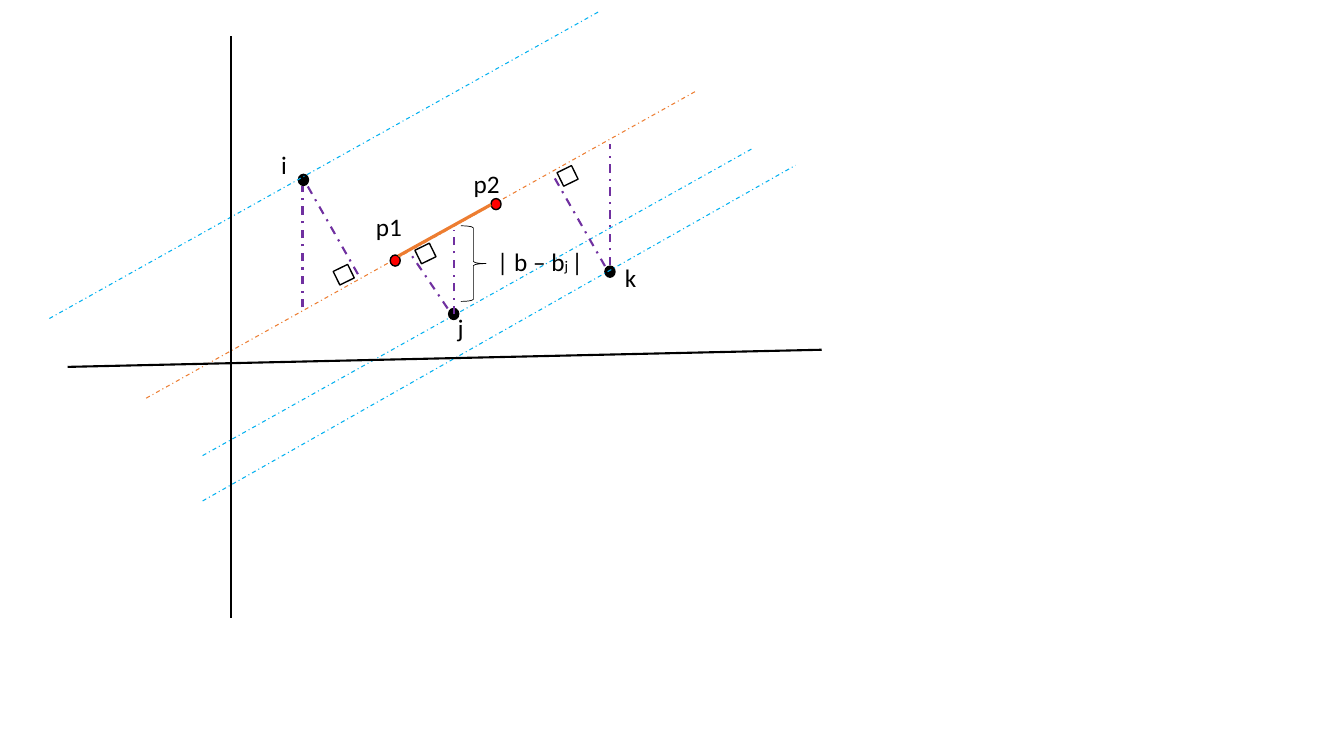
from lxml import etree
from pptx import Presentation
from pptx.dml.color import RGBColor
from pptx.enum.dml import MSO_LINE_DASH_STYLE as DASH
from pptx.enum.shapes import MSO_CONNECTOR, MSO_SHAPE as SHAPE
from pptx.enum.text import MSO_AUTO_SIZE
from pptx.oxml.ns import qn
from pptx.util import Inches, Pt

BLACK, WHITE, RED = "000000", "FFFFFF", "FF0000"
ORANGE, BLUE, PURPLE = "ED7D31", "00B0F0", "7030A0"


def color(value):
    return RGBColor.from_string(value)


def add_lines(lines, line_color, width, dash=None):
    for points in lines:
        connector = slide.shapes.add_connector(
            MSO_CONNECTOR.STRAIGHT, *(Inches(value) for value in points))
        connector.line.color.rgb = color(line_color)
        connector.line.width = Pt(width)
        if dash:
            connector.line.dash_style = dash
        etree.SubElement(connector._element.spPr, qn("a:effectLst"))


presentation = Presentation()
presentation.slide_width = Inches(13.33)
presentation.slide_height = Inches(7.5)
slide = presentation.slides.add_slide(presentation.slide_layouts[6])

add_lines([(1.45, 3.95, 6.91, 0.9)], ORANGE, 0.75, DASH.DASH_DOT)
add_lines([(2.01, 4.52, 7.47, 1.47)], BLUE, 0.75, DASH.DASH_DOT)

right_angles = [(4.14, 2.44), (5.55, 1.67), (3.33, 2.65)]
fitted_points = [(3.87, 2.53), (4.87, 1.97)]
data_points = [(4.45, 3.06), (2.96, 1.73), (6, 2.64)]
markers = [
    (SHAPE.RECTANGLE, right_angles, 0.16, 0.15, 333.9, WHITE, 1),
    (SHAPE.OVAL, fitted_points, 0.1, 0.11, 0, RED, 1),
    (SHAPE.OVAL, data_points, 0.1, 0.11, 0, BLACK, 1),
    (SHAPE.RIGHT_BRACE, [(4.57, 2.24)], 0.25, 0.75, 0, None, 0.5),
]
for kind, positions, width, height, rotation, fill, line_width in markers:
    for left, top in positions:
        shape = slide.shapes.add_shape(
            kind, Inches(left), Inches(top), Inches(width), Inches(height))
        shape.shadow.inherit = False
        shape.rotation = rotation
        if fill:
            shape.fill.solid()
            shape.fill.fore_color.rgb = color(fill)
        else:
            shape.fill.background()
        shape.line.color.rgb = color(BLACK)
        shape.line.width = Pt(line_width)

labels = [
    (3.63, 2.05, 0.46, [("p1", 18)]),
    (4.6, 1.62, 0.46, [("p2", 18)]),
    (4.44, 3.05, 0.26, [("j", 18)]),
    (6.1, 2.55, 0.32, [("k", 18)]),
    (2.69, 1.43, 0.26, [("i", 18)]),
    (4.83, 2.39, 1.07, [("| b – b", 18), ("j ", 10.5), ("|", 18)]),
]
for left, top, width, runs in labels:
    label = slide.shapes.add_textbox(
        Inches(left), Inches(top), Inches(width), Inches(0.4))
    label.text_frame.word_wrap = False
    label.text_frame.auto_size = MSO_AUTO_SIZE.SHAPE_TO_FIT_TEXT
    paragraph = label.text_frame.paragraphs[0]
    for text, size in runs:
        run = paragraph.add_run()
        run.text = text
        run.font.name = "Calibri"
        run.font.size = Pt(size)
        run.font.color.rgb = color(BLACK)

add_lines([(3.95, 2.54, 4.87, 2.03)], ORANGE, 2.25)
add_lines([(2.01, 4.97, 7.89, 1.64), (0.49, 3.16, 5.95, 0.11)],
          BLUE, 0.75, DASH.DASH_DOT)
add_lines([(2.29, 0.36, 2.29, 6.13), (8.15, 3.47, 0.67, 3.64)], BLACK, 1.5)

vertical_offsets = [
    (4.5, 3.12, 4.5, 2.28),
    (6.05, 2.63, 6.05, 1.43),
    (3, 3.05, 3, 1.85),
]
perpendicular_distances = [
    (4.44, 3.06, 4.08, 2.53),
    (6, 2.64, 5.48, 1.73),
    (3.55, 2.72, 3.03, 1.81),
]
add_lines(vertical_offsets + perpendicular_distances,
          PURPLE, 1.5, DASH.DASH_DOT)

presentation.save("out.pptx")
